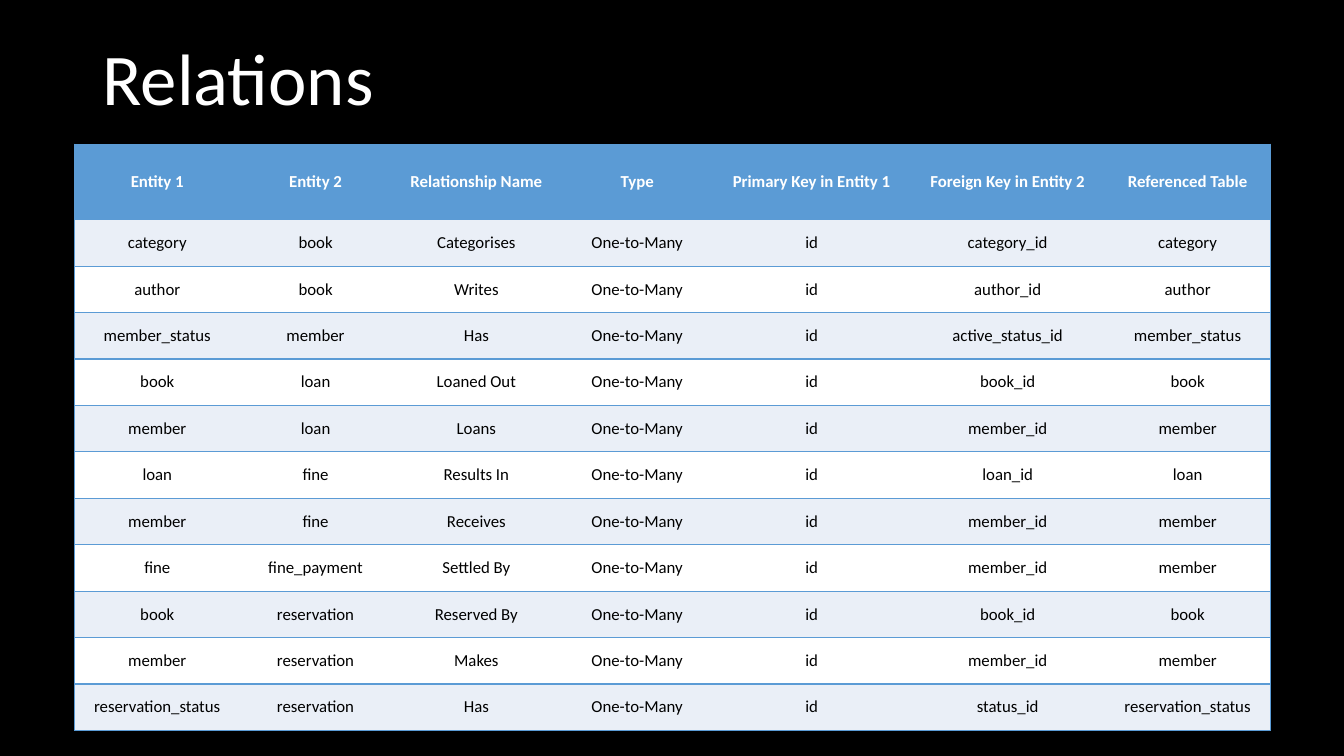
from lxml import etree
from pptx import Presentation
from pptx.dml.color import RGBColor
from pptx.enum.text import MSO_ANCHOR, PP_ALIGN
from pptx.oxml.ns import qn
from pptx.util import Inches, Pt

MIDDLE = MSO_ANCHOR.MIDDLE
CENTER = PP_ALIGN.CENTER
FONT = "Calibri"
BLACK, WHITE, BLUE, PALE = "000000", "FFFFFF", "5B9BD5", "EAEFF7"
WIDE, HIGH = 13.33, 7.5
LEFT, TOP, DEEP, HEAD = 0.74, 1.43, 5.82, 0.75
COLS = [1.64, 1.5, 1.69, 1.5, 1.96, 1.93, 1.64]
HEADS = ["Entity 1", "Entity 2", "Relationship Name", "Type",
         "Primary Key in Entity 1", "Foreign Key in Entity 2", "Referenced Table"]
LINKS = [
    ("category", "book", "Categorises", "category_id", "category"),
    ("author", "book", "Writes", "author_id", "author"),
    ("member_status", "member", "Has", "active_status_id", "member_status"),
    ("book", "loan", "Loaned Out", "book_id", "book"),
    ("member", "loan", "Loans", "member_id", "member"),
    ("loan", "fine", "Results In", "loan_id", "loan"),
    ("member", "fine", "Receives", "member_id", "member"),
    ("fine", "fine_payment", "Settled By", "member_id", "member"),
    ("book", "reservation", "Reserved By", "book_id", "book"),
    ("member", "reservation", "Makes", "member_id", "member"),
    ("reservation_status", "reservation", "Has", "status_id", "reservation_status"),
]


def color(code):
    return RGBColor.from_string(code)


def style(para, size, code, bold=False):
    font = para.font
    font.name = FONT
    font.size = Pt(size)
    font.bold = bold
    font.color.rgb = color(code)


def add_title(slide, text):
    box = slide.shapes.add_textbox(Inches(0.92), Inches(0.19), Inches(11.5), Inches(1.24))
    frame = box.text_frame
    frame.word_wrap = True
    frame.vertical_anchor = MIDDLE
    para = frame.paragraphs[0]
    para.text = text
    para.line_spacing = 0.9
    style(para, 52, WHITE)


def add_edge(cell, side, shown):
    props = cell._tc.get_or_add_tcPr()
    line = etree.SubElement(props, qn(f"a:ln{side}"), w=str(Pt(1)))
    if shown:
        fill = etree.SubElement(line, qn("a:solidFill"))
        etree.SubElement(fill, qn("a:srgbClr"), val=BLUE)
    else:
        etree.SubElement(line, qn("a:noFill"))


def fill_cell(cell, text, row, col):
    cell.text = text
    cell.vertical_anchor = MIDDLE
    cell.margin_left = cell.margin_right = Inches(0.09)
    cell.margin_top = cell.margin_bottom = Inches(0.04)
    edges = {"L": col == 0, "R": col == len(COLS) - 1, "T": True, "B": True}
    for side, shown in edges.items():
        add_edge(cell, side, shown)
    cell.fill.solid()
    back = BLUE if row == 0 else PALE if row % 2 else WHITE
    cell.fill.fore_color.rgb = color(back)
    para = cell.text_frame.paragraphs[0]
    para.alignment = CENTER
    style(para, 12, BLACK if row else WHITE, row == 0)


def add_grid(slide, rows):
    frame = slide.shapes.add_table(len(rows), len(COLS), Inches(LEFT), Inches(TOP),
                                   Inches(sum(COLS)), Inches(DEEP))
    table = frame.table
    for col, width in zip(table.columns, COLS):
        col.width = Inches(width)
    step = (DEEP - HEAD) / (len(rows) - 1)
    for r, texts in enumerate(rows):
        table.rows[r].height = Inches(step if r else HEAD)
        for c, text in enumerate(texts):
            fill_cell(table.cell(r, c), text, r, c)


def main():
    deck = Presentation()
    deck.slide_width, deck.slide_height = Inches(WIDE), Inches(HIGH)
    slide = deck.slides.add_slide(deck.slide_layouts[6])
    back = slide.background.fill
    back.solid()
    back.fore_color.rgb = color(BLACK)
    add_title(slide, "Relations")
    rows = [(one, two, name, "One-to-Many", "id", key, ref)
            for one, two, name, key, ref in LINKS]
    add_grid(slide, [HEADS] + rows)
    deck.save("out.pptx")


if __name__ == "__main__":
    main()
